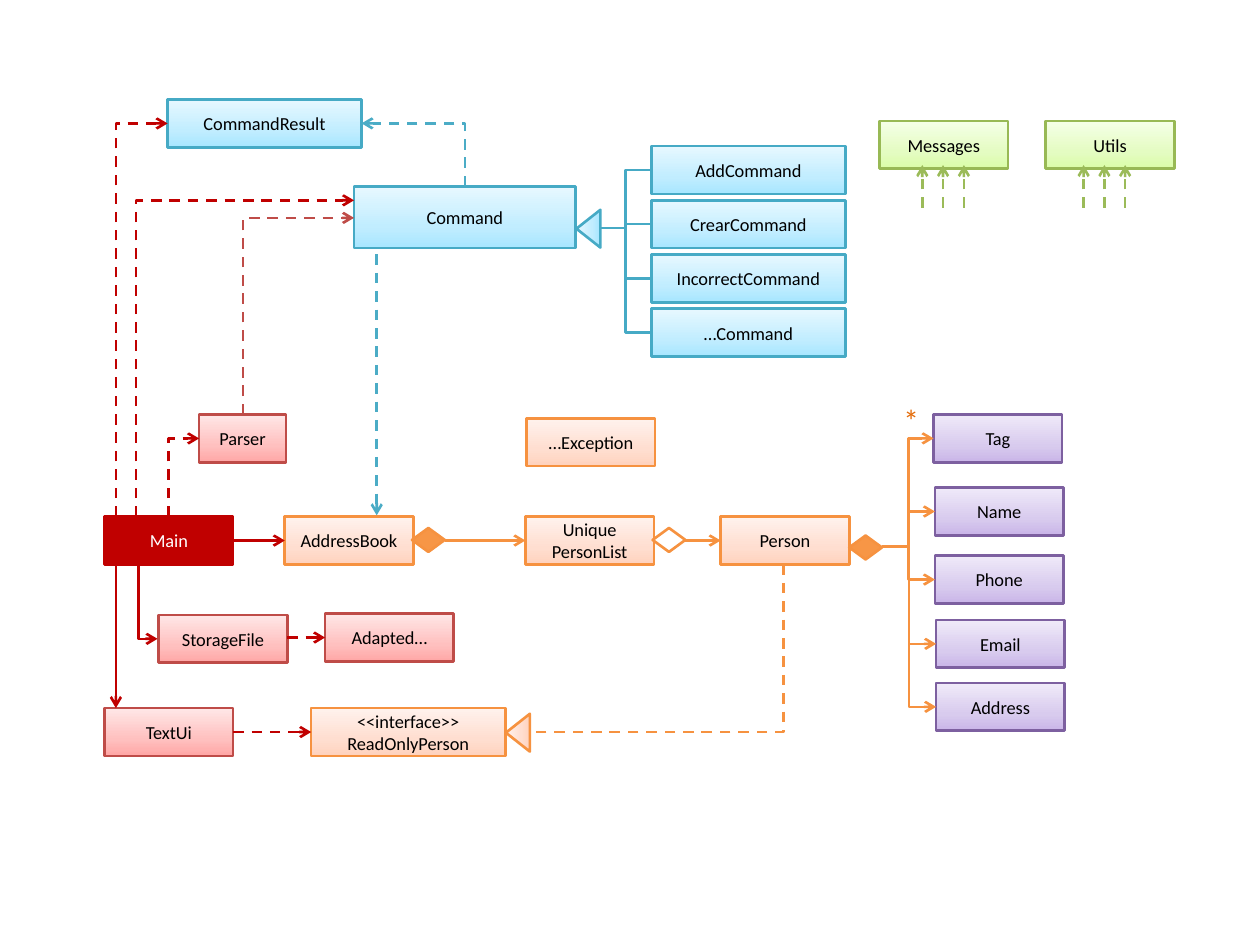
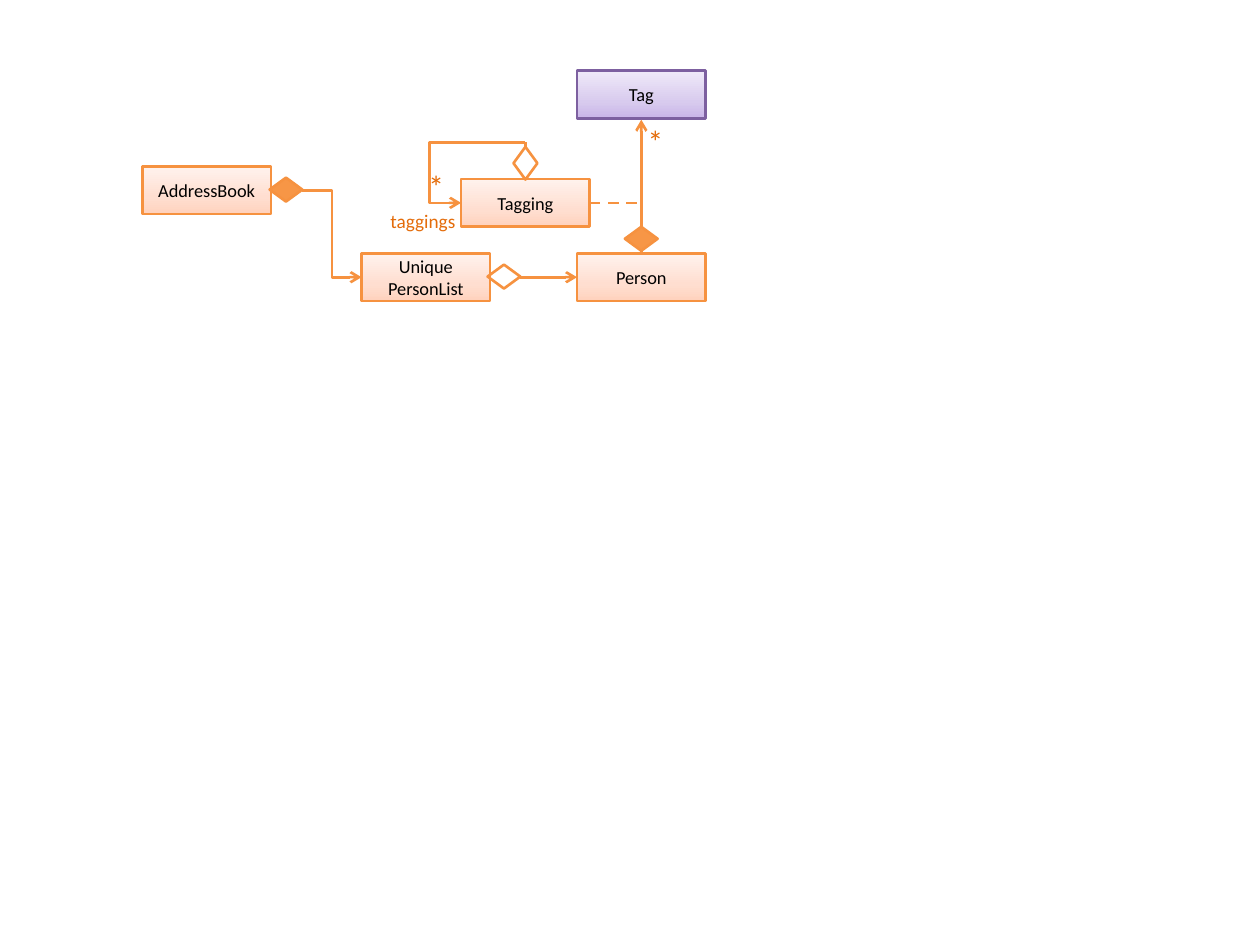
import copy
import pptx
import pptx.util
import pptx.dml.color
import pptx.enum.dml
import pptx.enum.shapes
import pptx.enum.text
import pptx.oxml
import pptx.oxml.ns

Inches = pptx.util.Inches
Pt = pptx.util.Pt
RGBColor = pptx.dml.color.RGBColor
SHAPE = pptx.enum.shapes.MSO_SHAPE
CONNECTOR = pptx.enum.shapes.MSO_CONNECTOR
qn = pptx.oxml.ns.qn

FONT = "Calibri"
BLACK = RGBColor(0x00, 0x00, 0x00)
WHITE = RGBColor(0xFF, 0xFF, 0xFF)
DARK_RED = RGBColor(0xC0, 0x00, 0x00)
RED = RGBColor(0xBF, 0x4C, 0x48)
ORANGE = RGBColor(0xF6, 0x92, 0x40)
ORANGE_FILL = RGBColor(0xF7, 0x96, 0x46)
ORANGE_TEXT = RGBColor(0xE4, 0x6C, 0x0A)
BLUE = RGBColor(0x46, 0xAA, 0xC5)
BLUE_LINK = RGBColor(0x4B, 0xAC, 0xC6)
GREEN = RGBColor(0x98, 0xB9, 0x55)
GREEN_LINK = RGBColor(0x9B, 0xBB, 0x59)
PURPLE = RGBColor(0x7D, 0x60, 0xA0)

GRADIENTS = {
    RED: (RGBColor(0xFF, 0xA6, 0xA5), RGBColor(0xFF, 0xC0, 0xBF), RGBColor(0xFF, 0xE7, 0xE7)),
    ORANGE: (RGBColor(0xFF, 0xD2, 0xBD), RGBColor(0xFF, 0xDE, 0xD0), RGBColor(0xFF, 0xF2, 0xED)),
    BLUE: (RGBColor(0xA7, 0xE6, 0xFF), RGBColor(0xC1, 0xED, 0xFF), RGBColor(0xE7, 0xF8, 0xFF)),
    GREEN: (RGBColor(0xDA, 0xFD, 0xA7), RGBColor(0xE4, 0xFC, 0xC2), RGBColor(0xF5, 0xFF, 0xE7)),
    PURPLE: (RGBColor(0xC9, 0xB5, 0xE8), RGBColor(0xD8, 0xCB, 0xEE), RGBColor(0xF0, 0xEA, 0xF9)),
}
BOX_W, BOX_H, WIDE_W = 1.02, 0.38, 1.54
DIAMOND_W, DIAMOND_H = 0.26, 0.19


def add_node(s, kind, x, y, w, h, color, fill="gradient", text="", rotation=0):
    sp = s.shapes.add_shape(kind, Inches(x), Inches(y), Inches(w), Inches(h))
    sp.shadow.inherit = False
    sp.rotation = rotation
    sp.line.color.rgb = color
    sp.line.width = Pt(1.5)
    if fill is None:
        sp.fill.background()
    elif fill == "gradient":
        sp.fill.gradient()
        sp.fill.gradient_angle = 90
        stops = sp.element.spPr.find(".//" + qn("a:gsLst"))
        stops.append(copy.deepcopy(stops[0]))
        for stop, position, rgb in zip(sp.fill.gradient_stops, (0, 0.35, 1), GRADIENTS[color]):
            stop.position = position
            stop.color.rgb = rgb
    else:
        sp.fill.solid()
        sp.fill.fore_color.rgb = fill
    if text:
        tf = sp.text_frame
        tf.text = text
        tf.word_wrap = True
        tf.vertical_anchor = pptx.enum.text.MSO_ANCHOR.MIDDLE
        for p in tf.paragraphs:
            p.alignment = pptx.enum.text.PP_ALIGN.CENTER
            p.font.name = FONT
            p.font.size = Pt(10.5)
            p.font.color.rgb = WHITE if fill == DARK_RED else BLACK


def add_link(s, start, end, color, dash=False, arrow=True, bend=None):
    kind = CONNECTOR.STRAIGHT if bend is None else CONNECTOR.ELBOW
    cx = s.shapes.add_connector(kind, *[Inches(v) for v in start + end])
    cx.line.color.rgb = color
    cx.line.width = Pt(1.5)
    if dash:
        cx.line.dash_style = pptx.enum.dml.MSO_LINE.DASH
    props = cx.element.spPr
    if bend is not None:
        guide = pptx.oxml.parse_xml('<a:gd %s name="adj1" fmla="val %d"/>'
                                    % (pptx.oxml.ns.nsdecls("a"), round(bend * 100000)))
        props.find(".//" + qn("a:avLst")).append(guide)
    if arrow:
        ln = props.find(qn("a:ln"))
        ln.append(ln.makeelement(qn("a:tailEnd"), {"type": "arrow"}))
    props.append(props.makeelement(qn("a:effectLst"), {}))


prs = pptx.Presentation()
prs.slide_width = Inches(10)
prs.slide_height = Inches(7.5)
overview, tagging = [prs.slides.add_slide(prs.slide_layouts[6]) for _ in range(2)]

boxes = [
    (overview, 0.83, 5.62, BOX_W, RED, "TextUi"),
    (overview, 2.26, 4.1, BOX_W, ORANGE, "AddressBook"),
    (overview, 1.58, 3.29, 0.69, RED, "Parser"),
    (overview, 4.17, 4.1, BOX_W, ORANGE, "Unique\vPersonList"),
    (overview, 5.72, 4.1, BOX_W, ORANGE, "Person"),
    (overview, 1.26, 4.88, BOX_W, RED, "StorageFile"),
    (overview, 2.58, 4.87, BOX_W, RED, "Adapted…"),
    (overview, 2.47, 5.62, WIDE_W, ORANGE, "<<interface>>\nReadOnlyPerson"),
    (overview, 1.33, 0.79, WIDE_W, BLUE, "CommandResult"),
    (overview, 6.98, 0.96, BOX_W, GREEN, "Messages"),
    (overview, 8.3, 0.96, BOX_W, GREEN, "Utils"),
    (overview, 4.18, 3.32, BOX_W, ORANGE, "…Exception"),
    (overview, 7.41, 3.29, BOX_W, PURPLE, "Tag"),
    (overview, 7.42, 3.87, BOX_W, PURPLE, "Name"),
    (overview, 7.42, 4.41, BOX_W, PURPLE, "Phone"),
    (overview, 7.43, 4.92, BOX_W, PURPLE, "Email"),
    (overview, 7.43, 5.42, BOX_W, PURPLE, "Address"),
    (tagging, 1.13, 1.32, BOX_W, ORANGE, "AddressBook"),
    (tagging, 2.87, 2.01, BOX_W, ORANGE, "Unique\vPersonList"),
    (tagging, 4.58, 2.01, BOX_W, ORANGE, "Person"),
    (tagging, 3.66, 1.42, BOX_W, ORANGE, "Tagging"),
    (tagging, 4.58, 0.56, BOX_W, PURPLE, "Tag"),
]
for s, x, y, w, color, text in boxes:
    add_node(s, SHAPE.RECTANGLE, x, y, w, BOX_H, color, text=text)
add_node(overview, SHAPE.RECTANGLE, 0.83, 4.1, BOX_W, BOX_H, DARK_RED, DARK_RED, "Main")
add_node(overview, SHAPE.RECTANGLE, 2.81, 1.48, 1.76, 0.49, BLUE, text="Command")

commands = ["AddCommand", "CrearCommand", "IncorrectCommand", "…Command"]
for i, name in enumerate(commands):
    y = 1.16 + 0.43 * i
    add_node(overview, SHAPE.RECTANGLE, 5.17, y, WIDE_W, BOX_H, BLUE, text=name)
    add_link(overview, (4.76, 1.81), (5.17, y + BOX_H / 2), BLUE, arrow=False, bend=0.5)

for x, y in [(7.42, 4.06), (7.42, 4.6), (7.43, 5.11), (7.43, 5.61)]:
    add_link(overview, (7, 4.34), (x, y), ORANGE, bend=0.5)

for first in (7.32, 8.6):
    for i in range(3):
        x = first + 0.165 * i
        add_link(overview, (x, 1.65), (x, 1.31), GREEN_LINK, dash=True)

straight_links = [
    (overview, (0.92, 4.48), (0.92, 5.62), DARK_RED, False),
    (overview, (1.85, 4.29), (2.26, 4.29), DARK_RED, False),
    (overview, (1.85, 5.81), (2.47, 5.81), DARK_RED, True),
    (overview, (2.28, 5.06), (2.58, 5.06), DARK_RED, True),
    (overview, (3.53, 4.29), (4.17, 4.29), ORANGE, False),
    (overview, (5.44, 4.29), (5.72, 4.29), ORANGE, False),
    (overview, (2.99, 2.02), (2.99, 4.09), BLUE_LINK, True),
    (tagging, (4.13, 2.2), (4.58, 2.2), ORANGE, False),
    (tagging, (5.09, 2.01), (5.09, 0.95), ORANGE, False),
]
for s, start, end, color, dash in straight_links:
    add_link(s, start, end, color, dash)

corner_links = [
    ((1.34, 4.1), (1.58, 3.48), DARK_RED, True),
    ((1.1, 4.49), (1.25, 5.07), DARK_RED, False),
    ((1.93, 3.29), (2.81, 1.73), RED, True),
    ((1.08, 4.1), (2.81, 1.59), DARK_RED, True),
    ((0.92, 4.1), (1.33, 0.98), DARK_RED, True),
    ((3.69, 1.48), (2.87, 0.98), BLUE_LINK, True),
    ((7.21, 4.34), (7.41, 3.48), ORANGE, False),
]
for start, end, color, dash in corner_links:
    add_link(overview, start, end, color, dash, bend=0)
add_link(overview, (6.22, 4.48), (4.2, 5.81), ORANGE, dash=True, arrow=False, bend=0)

add_link(tagging, (2.4, 1.51), (2.87, 2.2), ORANGE, bend=0.5)
add_link(tagging, (4.68, 1.61), (5.09, 1.61), ORANGE, dash=True, arrow=False)
add_link(tagging, (4.17, 1.17), (4.17, 1.13), ORANGE, arrow=False)
add_link(tagging, (4.17, 1.13), (3.66, 1.61), ORANGE, bend=1.49)

diamonds = [
    (overview, 6.74, 4.25, ORANGE_FILL, 0),
    (overview, 5.18, 4.19, None, 0),
    (overview, 3.27, 4.19, ORANGE_FILL, 0),
    (tagging, 3.87, 2.1, None, 0),
    (tagging, 2.14, 1.41, ORANGE_FILL, 0),
    (tagging, 4.04, 1.2, None, 270),
    (tagging, 4.96, 1.8, ORANGE_FILL, 0),
]
for s, x, y, fill, rotation in diamonds:
    add_node(s, SHAPE.FLOWCHART_DECISION, x, y, DIAMOND_W, DIAMOND_H, ORANGE, fill, rotation=rotation)

for x, y, color in [(3.96, 5.72, ORANGE), (4.52, 1.72, BLUE)]:
    add_node(overview, SHAPE.ISOSCELES_TRIANGLE, x, y, 0.3, 0.19, color, rotation=270)

labels = [
    (overview, 7.17, 3.13, 0.1, 0.4, "*", 18, 0),
    (tagging, 3.4, 1.28, 0.1, 0.4, "*", 18, 0),
    (tagging, 5.14, 0.92, 0.1, 0.4, "*", 18, 0),
    (tagging, 3, 1.61, 0.85, 0.29, "taggings", 11, 0.1),
]
for s, x, y, w, h, text, size, inset in labels:
    tf = s.shapes.add_textbox(Inches(x), Inches(y), Inches(w), Inches(h)).text_frame
    tf.word_wrap = True
    tf.margin_left = tf.margin_right = Inches(inset)
    p = tf.paragraphs[0]
    p.text = text
    p.font.name = FONT
    p.font.size = Pt(size)
    p.font.color.rgb = ORANGE_TEXT

prs.save("out.pptx")
